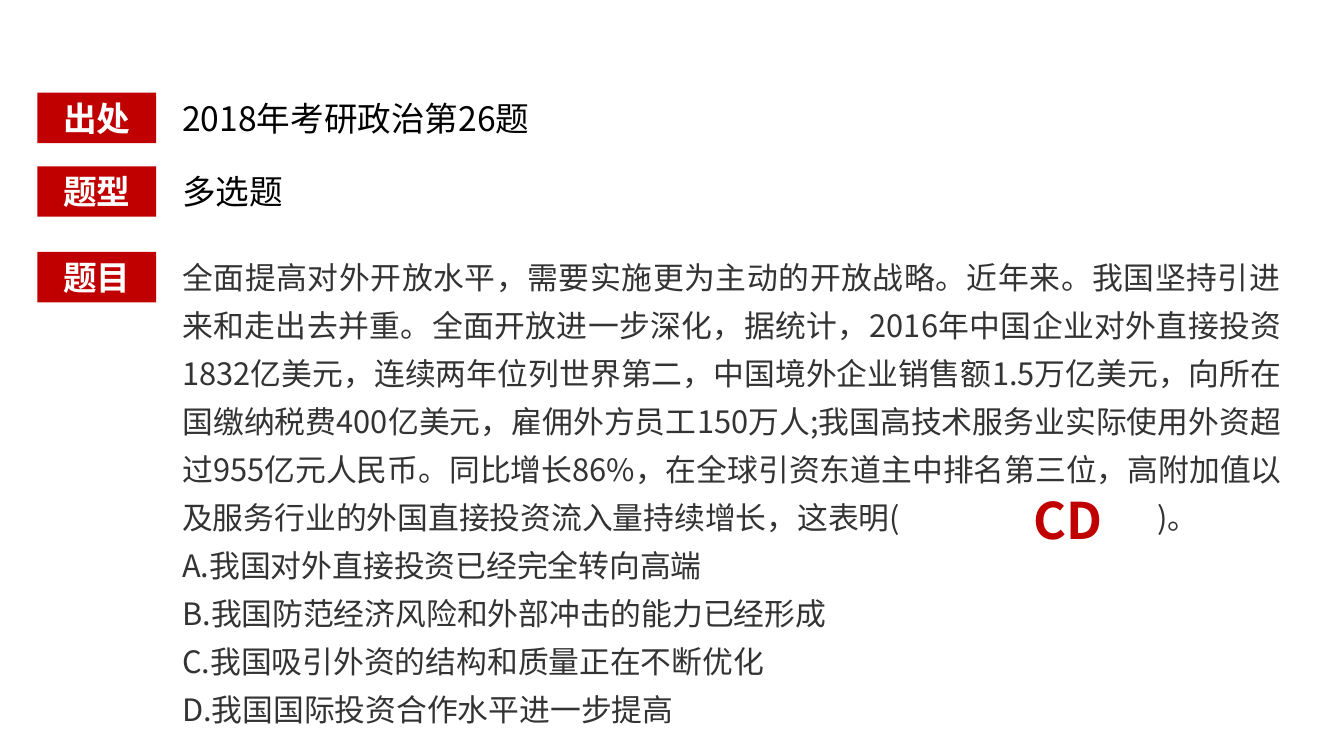
"""Build a slide with a multiple-choice politics question and its answer."""
from dataclasses import dataclass

from lxml import etree
from pptx import Presentation
from pptx import util as u
from pptx.enum import shapes, text
from pptx.oxml import ns

PX = 9144
FONT = "Noto Sans CJK SC"
COLORS = {"red": "C00000", "white": "FFFFFF", "black": "000000", "ink": "333333"}
LEFT, ALIGN_C, JUSTIFY = text.PP_ALIGN.LEFT, text.PP_ALIGN.CENTER, text.PP_ALIGN.JUSTIFY
BLANK_TAB = 967
BODY_LEADING = 34.3

QUESTION = (
    "全面提高对外开放水平，需要实施更为主动的开放战略。近年来。我国坚持引进来和走出去并重。"
    "全面开放进一步深化，据统计，2016年中国企业对外直接投资1832亿美元，连续两年位列世界第二，"
    "中国境外企业销售额1.5万亿美元，向所在国缴纳税费400亿美元，雇佣外方员工150万人;"
    "我国高技术服务业实际使用外资超过955亿元人民币。同比增长86%，在全球引资东道主中排名第三位，"
    "高附加值以及服务行业的外国直接投资流入量持续增长，这表明(\t)。"
)
OPTIONS = [
    "A.我国对外直接投资已经完全转向高端",
    "B.我国防范经济风险和外部冲击的能力已经形成",
    "C.我国吸引外资的结构和质量正在不断优化",
    "D.我国国际投资合作水平进一步提高",
]


@dataclass
class Label:
    words: str
    top: int


@dataclass
class Note:
    words: str
    left: int
    top: int
    width: int
    height: int
    size: int
    color: str
    bold: bool = False


LABELS = [Label("出处", 92), Label("题型", 165), Label("题目", 250)]
NOTES = [
    Note("2018年考研政治第26题", 171, 92, 906, 50, 24, "black"),
    Note("多选题", 171, 165, 906, 50, 24, "black"),
    Note("CD", 1015, 480, 197, 71, 36, "red", True),
]


def box(left: int, top: int, width: int, height: int) -> list[u.Emu]:
    """Turn a px rectangle into EMU lengths."""
    return [u.Emu(n * PX) for n in (left, top, width, height)]


def add_run(p, words: str, size: int, color: str, bold: bool = False) -> None:
    """Add one styled run to a paragraph."""
    r = p.add_run()
    r.text = words
    r.font.name, r.font.size, r.font.bold = FONT, u.Pt(size), bold
    r.font.color.rgb = r.font.color.rgb = RGB[color]
    etree.SubElement(r.font._element, ns.qn("a:ea"), typeface=FONT)


def fill_line(sp, words: str, size: int, color: str, bold: bool, align) -> None:
    """Write a single vertically centred line into a shape."""
    tf = sp.text_frame
    tf.word_wrap = True
    tf.vertical_anchor = text.MSO_ANCHOR.MIDDLE
    p = tf.paragraphs[0]
    p.alignment = align
    add_run(p, words, size, color, bold)


def add_label(s, label: Label) -> None:
    """Draw a red label block."""
    sp = s.shapes.add_shape(shapes.MSO_SHAPE.RECTANGLE, *box(37, label.top, 118, 50))
    sp.shadow.inherit = False
    sp.fill.solid()
    sp.fill.fore_color.rgb = RGB["red"]
    sp.line.fill.background()
    fill_line(sp, label.words, 24, "white", True, ALIGN_C)


def add_note(s, note: Note) -> None:
    """Draw a one-line text box."""
    sp = s.shapes.add_textbox(*box(note.left, note.top, note.width, note.height))
    fill_line(sp, note.words, note.size, note.color, note.bold, LEFT)


def add_question(s) -> None:
    """Draw the question with its answer gap and options."""
    tf = s.shapes.add_textbox(*box(171, 241, 1110, 504)).text_frame
    tf.word_wrap = True
    for i, words in enumerate([QUESTION, *OPTIONS]):
        p = tf.add_paragraph() if i else tf.paragraphs[0]
        if not i:
            tabs = etree.SubElement(p._p.get_or_add_pPr(), ns.qn("a:tabLst"))
            etree.SubElement(tabs, ns.qn("a:tab"), pos=str(BLANK_TAB * PX), algn="l")
        p.alignment = LEFT if i else JUSTIFY
        p.line_spacing = u.Pt(BODY_LEADING)
        add_run(p, words, 22, "ink")


def main() -> None:
    """Assemble and save the deck."""
    prs = Presentation()
    prs.slide_width, prs.slide_height = u.Emu(1333 * PX), u.Emu(750 * PX)
    s = prs.slides.add_slide(prs.slide_layouts[6])
    for label in LABELS:
        add_label(s, label)
    add_question(s)
    for note in NOTES:
        add_note(s, note)
    prs.save("out.pptx")


from pptx.dml import color as c

RGB = {name: c.RGBColor.from_string(value) for name, value in COLORS.items()}

if __name__ == "__main__":
    main()
